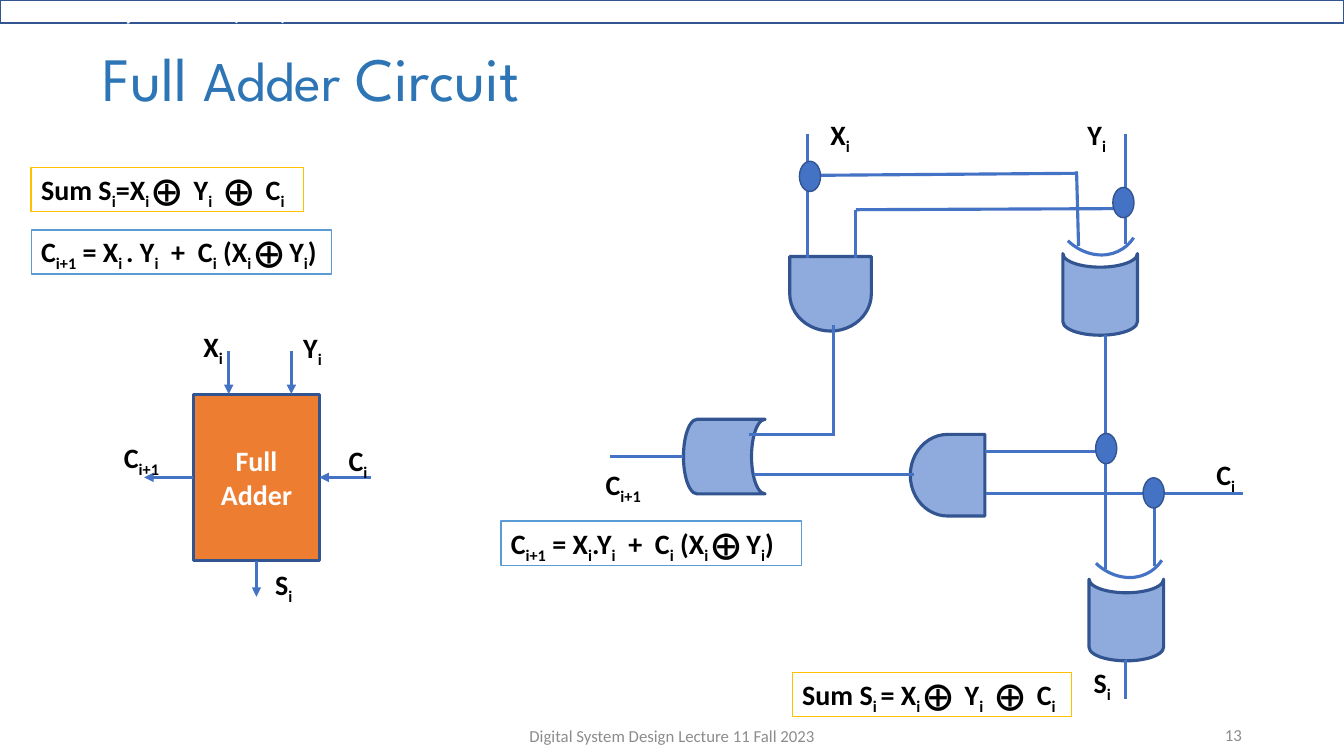
"""Build the slide explaining the full adder circuit."""
from dataclasses import dataclass

from lxml import etree
from pptx import Presentation, util as u
from pptx.dml.color import RGBColor
from pptx.enum import shapes, text
from pptx.oxml import ns

BLUE = RGBColor(0x44, 0x72, 0xC4)
NAVY = RGBColor(0x32, 0x54, 0x91)
PALE_BLUE = RGBColor(0x8F, 0xAA, 0xDC)
SKY = RGBColor(0x5B, 0x9B, 0xD5)
TITLE_BLUE = RGBColor(0x2E, 0x75, 0xB6)
GOLD = RGBColor(0xFF, 0xC0, 0x00)
ORANGE = RGBColor(0xED, 0x7D, 0x31)
GREY = RGBColor(0x8C, 0x8C, 0x8C)
BLACK = RGBColor(0, 0, 0)
WHITE = RGBColor(0xFF, 0xFF, 0xFF)
HEADER_STOPS = (("2000", "ABC0E4", "100000"), ("38000", "002060", "100000"),
                ("93000", "7E9ED6", "64000"))

KIND = shapes.MSO_SHAPE
AND, OR = KIND.FLOWCHART_DELAY, KIND.FLOWCHART_STORED_DATA
AND_SIZE, OR_SIZE = (53.3, 58.3), (58.3, 53.3)
ARC_SIZE, DOT_SIZE = (61.2, 71.3), (15.1, 21.6)
LINE_HEIGHT = 31.7


@dataclass(frozen=True)
class Gate:
    kind: KIND
    left: float
    top: float
    size: tuple
    turn: float


@dataclass(frozen=True)
class Wire:
    x1: float
    y1: float
    x2: float
    y2: float
    arrow: str = ""
    side: int | None = None


@dataclass(frozen=True)
class Label:
    markup: str
    left: float
    top: float
    width: float


@dataclass(frozen=True)
class Equation:
    label: Label
    border: RGBColor


GATES = (
    Gate(AND, 566.6, 180.7, AND_SIZE, 90),
    Gate(OR, 756.7, 183.6, OR_SIZE, 270),
    Gate(OR, 488.2, 299.5, OR_SIZE, 0),
    Gate(AND, 650.2, 310.3, AND_SIZE, 180),
    Gate(OR, 775.4, 416.2, OR_SIZE, 270),
)
XOR_ARCS = ((751.7, 112.3), (771.8, 342.7))
CIRCUIT_WIRES = (
    Wire(576.7, 184.3, 576.7, 95.8),
    Wire(611.3, 184.3, 611.3, 149.8),
    Wire(770.4, 175.7, 769, 122.4),
    Wire(804.2, 174.2, 804.2, 95.8),
    Wire(789.8, 406.1, 789.8, 239),
    Wire(824.4, 404.6, 824.4, 352.8),
    Wire(703.4, 322.6, 789.8, 322.6),
    Wire(704.2, 352.8, 887.8, 352.8),
    Wire(538.6, 339.1, 653, 339.1),
    Wire(535, 310.3, 596.2, 310.3),
    Wire(595.4, 310.3, 595.4, 231.8),
    Wire(611.3, 149.8, 804.2, 149),
    Wire(576, 125.3, 769.7, 123.8),
    Wire(488.2, 326.2, 435.6, 326.2),
    Wire(804.2, 471.6, 804.2, 499),
)
JUNCTIONS = ((782.6, 309.6), (571, 115.2), (794.9, 133.9), (816.5, 341.3))
ADDER_WIRES = (
    Wire(163.4, 250.6, 163.4, 281.5, "tailEnd"),
    Wire(208.1, 250.6, 208.1, 281.5, "tailEnd"),
    Wire(228.2, 341, 265, 341, "headEnd", 3),
    Wire(183.2, 400.5, 183.2, 426.2, "tailEnd", 2),
    Wire(138.2, 341, 103, 341, "tailEnd", 1),
)
LABELS = (
    Label("C|i+1", 425.5, 330.5, 41.8),
    Label("X|i", 586.1, 80.6, 28.8),
    Label("Y|i", 769.7, 80.6, 28.1),
    Label("C|i", 861.8, 323.3, 28.8),
    Label("S|i", 774, 471.6, 27.4),
    Label("X|i", 138.2, 231.8, 28.8),
    Label("Y|i", 209.5, 232.6, 28.1),
    Label("C|i", 241.9, 313.2, 28.8),
    Label("S|i", 189.4, 401.8, 27.4),
    Label("C|i+1", 81.4, 311, 41.8),
)
EQUATIONS = (
    Equation(Label("Sum S|i|=X|i |⨁  Y|i|  ⨁  C|i", 22.3, 119.5, 194.4), GOLD),
    Equation(Label("C|i+1| = X|i |. Y|i|  +  C|i| (X|i |⨁ Y|i|)", 22.3, 164.2, 214.6), SKY),
    Equation(Label("Sum S|i |= X|i |⨁  Y|i|  ⨁  C|i", 565.9, 480.2, 199.4), GOLD),
    Equation(Label("C|i+1| = X|i|.Y|i|  +  C|i| (X|i |⨁ Y|i|)", 357.8, 372.2, 214.6), SKY),
)


def add_run(paragraph, words: str, size: float, color: RGBColor,
            bold: bool = False, font: str = "Calibri"):
    run = paragraph.add_run()
    run.text = words
    run.font.name, run.font.size, run.font.bold = font, u.Pt(size), bold
    run.font.color.rgb = color
    return run


def write_formula(frame, markup: str) -> None:
    frame.word_wrap = False
    frame.auto_size = text.MSO_AUTO_SIZE.SHAPE_TO_FIT_TEXT
    frame.vertical_anchor = text.MSO_ANCHOR.TOP
    paragraph = frame.paragraphs[0]
    paragraph.alignment = text.PP_ALIGN.LEFT
    for index, words in enumerate(markup.split("|")):
        run = add_run(paragraph, words, 20, BLACK, True)
        if index % 2:
            run.font._element.set("baseline", "-25000")


def draw_shape(slide, kind, left: float, top: float, size: tuple,
               fill: RGBColor | None, border: RGBColor, weight: float, turn: float = 0):
    shape = slide.shapes.add_shape(kind, *map(u.Pt, (left, top, *size)))
    shape.shadow.inherit = False
    shape.rotation = turn
    if fill is None:
        shape.fill.background()
    else:
        shape.fill.solid()
        shape.fill.fore_color.rgb = fill
    shape.line.color.rgb, shape.line.width = border, u.Pt(weight)
    return shape


def draw_wire(slide, wire: Wire, block=None) -> None:
    ends = map(u.Pt, (wire.x1, wire.y1, wire.x2, wire.y2))
    connector = slide.shapes.add_connector(shapes.MSO_CONNECTOR.STRAIGHT, *ends)
    connector.line.color.rgb, connector.line.width = BLUE, u.Pt(2.25)
    if wire.arrow:
        etree.SubElement(connector.line._get_or_add_ln(), ns.qn(f"a:{wire.arrow}"), type="triangle")
    etree.SubElement(connector._element.spPr, ns.qn("a:effectLst"))
    if wire.side is not None:
        connector.begin_connect(block, wire.side)


def draw_header(slide) -> None:
    header = draw_shape(slide, KIND.RECTANGLE, 0, 0, (960, 16.6), WHITE, NAVY, 1)
    header.fill.gradient()
    header.fill.gradient_angle = 270
    stops = header._element.spPr.find(".//" + ns.qn("a:gsLst"))
    stops[:] = []
    for position, color, alpha in HEADER_STOPS:
        stop = etree.SubElement(stops, ns.qn("a:gs"), pos=position)
        tint = etree.SubElement(stop, ns.qn("a:srgbClr"), val=color)
        etree.SubElement(tint, ns.qn("a:alpha"), val=alpha)
    frame = header.text_frame
    frame.vertical_anchor = text.MSO_ANCHOR.MIDDLE
    frame.paragraphs[0].alignment = text.PP_ALIGN.LEFT
    add_run(frame.paragraphs[0], "Embedded Systems Lab (EESL)", 16, WHITE, True)


def write_title(slide) -> None:
    title = slide.shapes.title
    title.left, title.top, title.width, title.height = map(u.Pt, (66.2, 28.8, 828, 58.3))
    frame = title.text_frame
    frame.auto_size = text.MSO_AUTO_SIZE.NONE
    frame.vertical_anchor = text.MSO_ANCHOR.MIDDLE
    paragraph = frame.paragraphs[0]
    paragraph.alignment, paragraph.line_spacing = text.PP_ALIGN.LEFT, 0.9
    for words, size in (("Full ", 44), ("Adder", 40), (" Circuit", 44)):
        add_run(paragraph, words, size, TITLE_BLUE, font="League Spartan")


def write_footer(slide, words: str, left: float, top: float, width: float, align) -> None:
    frame = slide.shapes.add_textbox(*map(u.Pt, (left, top, width, 28.8))).text_frame
    frame.word_wrap = True
    frame.vertical_anchor = text.MSO_ANCHOR.MIDDLE
    frame.paragraphs[0].alignment = align
    add_run(frame.paragraphs[0], words, 12, GREY)


def draw_adder_block(slide) -> None:
    block = draw_shape(slide, KIND.RECTANGLE, 138.2, 281.5, (90, 119), ORANGE, NAVY, 2.25)
    frame = block.text_frame
    frame.vertical_anchor = text.MSO_ANCHOR.MIDDLE
    for paragraph, words in ((frame.paragraphs[0], "Full"), (frame.add_paragraph(), "Adder")):
        paragraph.alignment = text.PP_ALIGN.CENTER
        add_run(paragraph, words, 20, WHITE, True)
    for wire in ADDER_WIRES:
        draw_wire(slide, wire, block)


def draw_circuit(slide) -> None:
    for gate in GATES:
        draw_shape(slide, gate.kind, gate.left, gate.top, gate.size, PALE_BLUE, NAVY, 2.25, gate.turn)
    for left, top in XOR_ARCS:
        arc = draw_shape(slide, KIND.ARC, left, top, ARC_SIZE, None, BLUE, 2.25, 146.4)
        arc.adjustments[0], arc.adjustments[1] = 151.27, 205.69
    for wire in CIRCUIT_WIRES:
        draw_wire(slide, wire)
    for left, top in JUNCTIONS:
        draw_shape(slide, KIND.OVAL, left, top, DOT_SIZE, BLUE, NAVY, 1)


def main() -> None:
    deck = Presentation()
    deck.slide_width, deck.slide_height = u.Pt(960), u.Pt(540)
    slide = deck.slides.add_slide(deck.slide_layouts[5])
    draw_header(slide)
    write_title(slide)
    draw_circuit(slide)
    draw_adder_block(slide)
    for label in LABELS:
        place = map(u.Pt, (label.left, label.top, label.width, LINE_HEIGHT))
        write_formula(slide.shapes.add_textbox(*place).text_frame, label.markup)
    for equation in EQUATIONS:
        label = equation.label
        panel = draw_shape(slide, KIND.RECTANGLE, label.left, label.top,
                           (label.width, LINE_HEIGHT), WHITE, equation.border, 1)
        write_formula(panel.text_frame, label.markup)
    write_footer(slide, "13", 678.2, 510.5, 216, text.PP_ALIGN.RIGHT)
    write_footer(slide, "Digital System Design Lecture 11 Fall 2023", 318.2, 511.2, 324,
                 text.PP_ALIGN.CENTER)
    deck.save("out.pptx")


if __name__ == "__main__":
    main()
